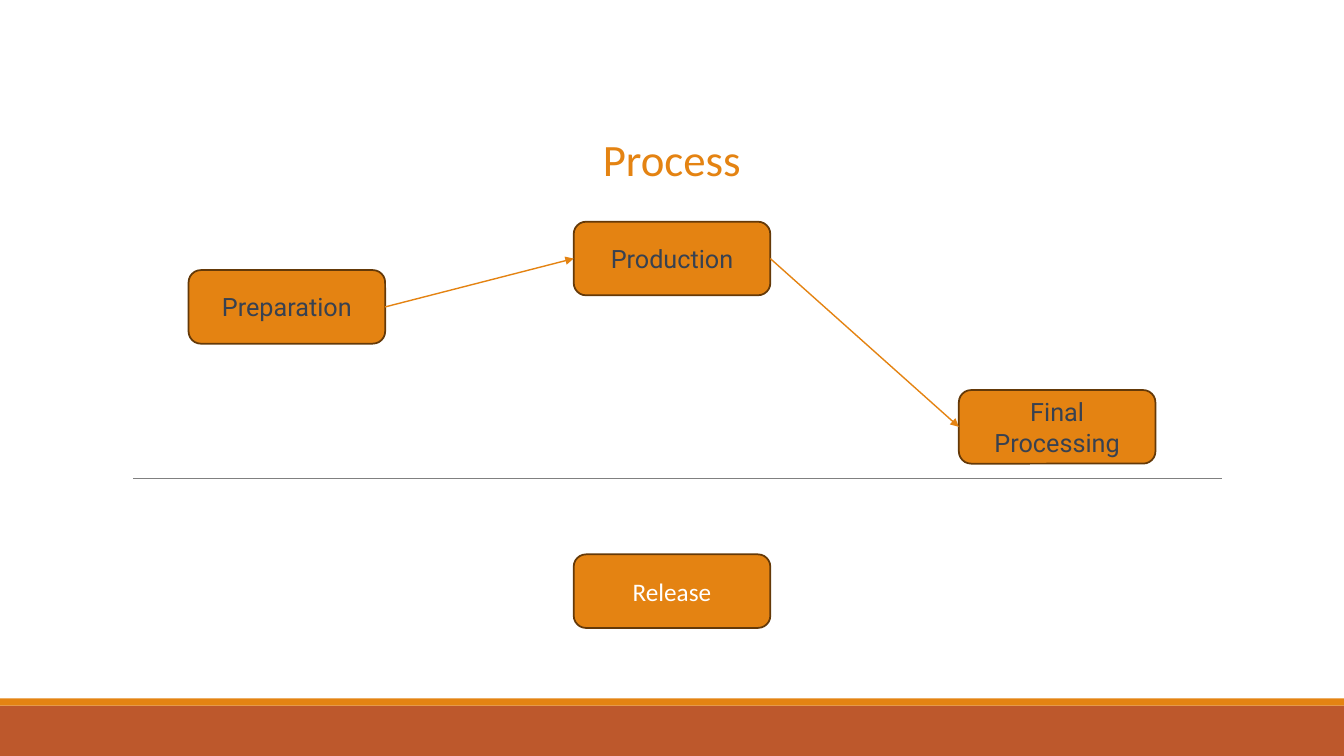
from lxml import etree
from pptx import Presentation
from pptx.dml.color import RGBColor
from pptx.enum.shapes import MSO_CONNECTOR, MSO_SHAPE
from pptx.enum.text import MSO_ANCHOR, MSO_AUTO_SIZE, PP_ALIGN
from pptx.oxml.ns import qn
from pptx.util import Inches, Pt

RECT, ROUNDED = MSO_SHAPE.RECTANGLE, MSO_SHAPE.ROUNDED_RECTANGLE
STRAIGHT = MSO_CONNECTOR.STRAIGHT
MIDDLE = MSO_ANCHOR.MIDDLE
CENTER = PP_ALIGN.CENTER
GROW = MSO_AUTO_SIZE.SHAPE_TO_FIT_TEXT
LEFT_SITE, RIGHT_SITE = 1, 3

COLORS = {
    "orange": "E48312",
    "rust": "BD582C",
    "outline": "643908",
    "slate": "374151",
    "gray": "808080",
    "white": "FFFFFF",
}
SLIDE_W, SLIDE_H = 13.33, 7.5
STEP_W, STEP_H = 1.95, 0.73
STEP_LEFT, STEP_PITCH = 1.87, 3.82
STEPS = [
    ("Preparation", 0, 2.68, "Roboto", "slate"),
    ("Production", 1, 2.2, "Roboto", "slate"),
    ("Final Processing", 2, 3.87, "Roboto", "slate"),
    ("Release", 1, 5.5, "Calibri", "white"),
]


def color(name):
    return RGBColor.from_string(COLORS[name])


def add_span(para, text, size, font, color_name):
    span = para.add_run()
    span.text = text
    span.font.size = Pt(size)
    span.font.name = font
    span.font.color.rgb = color(color_name)


def add_block(page, kind, box, fill):
    shape = page.shapes.add_shape(kind, *map(Inches, box))
    shape.shadow.inherit = False
    shape.fill.solid()
    shape.fill.fore_color.rgb = color(fill)
    shape.line.fill.background()
    return shape


def add_line(page, start, end, color_name, width):
    line = page.shapes.add_connector(STRAIGHT, *map(Inches, start + end))
    line.line.color.rgb = color(color_name)
    line.line.width = Pt(width)
    etree.SubElement(line._element.spPr, qn("a:effectLst"))
    return line


def add_footer(page, box):
    left, top, width, height = box
    stripe = 0.07
    add_block(page, RECT, (left, top + stripe, width, height - stripe), "rust")
    add_block(page, RECT, (left, top, width, stripe), "orange")


def add_step(page, box, text, font, color_name):
    step = add_block(page, ROUNDED, box, "orange")
    step.line.color.rgb = color("outline")
    step.line.width = Pt(1.25)
    frame = step.text_frame
    frame.word_wrap = True
    frame.vertical_anchor = MIDDLE
    para = frame.paragraphs[0]
    para.alignment = CENTER
    add_span(para, text, 18, font, color_name)
    return step


def add_arrow(page, source, target):
    arrow = add_line(page, (0, 0), (1, 1), "orange", 1)
    arrow.begin_connect(source, RIGHT_SITE)
    arrow.end_connect(target, LEFT_SITE)
    etree.SubElement(arrow.line._get_or_add_ln(), qn("a:tailEnd"), type="triangle")


def add_flow(page, left):
    steps = [
        add_step(page, (left + column * STEP_PITCH, top, STEP_W, STEP_H), text, font, color_name)
        for text, column, top, font, color_name in STEPS
    ]
    preparation, production, final, _ = steps
    add_arrow(page, preparation, production)
    add_arrow(page, production, final)


def add_title(page, box):
    title = page.shapes.add_textbox(*map(Inches, box))
    frame = title.text_frame
    frame.word_wrap = False
    frame.auto_size = GROW
    add_span(frame.paragraphs[0], "Process", 32, "Calibri", "orange")


def main():
    deck = Presentation()
    deck.slide_width, deck.slide_height = Inches(SLIDE_W), Inches(SLIDE_H)
    page = deck.slides.add_slide(deck.slide_layouts[6])
    add_footer(page, (0, 6.93, SLIDE_W, 0.57))
    add_line(page, (1.32, 4.75), (12.12, 4.75), "gray", 0.5)
    add_flow(page, STEP_LEFT)
    add_title(page, (5.88, 1.26, 1.58, 0.64))
    deck.save("out.pptx")


if __name__ == "__main__":
    main()
